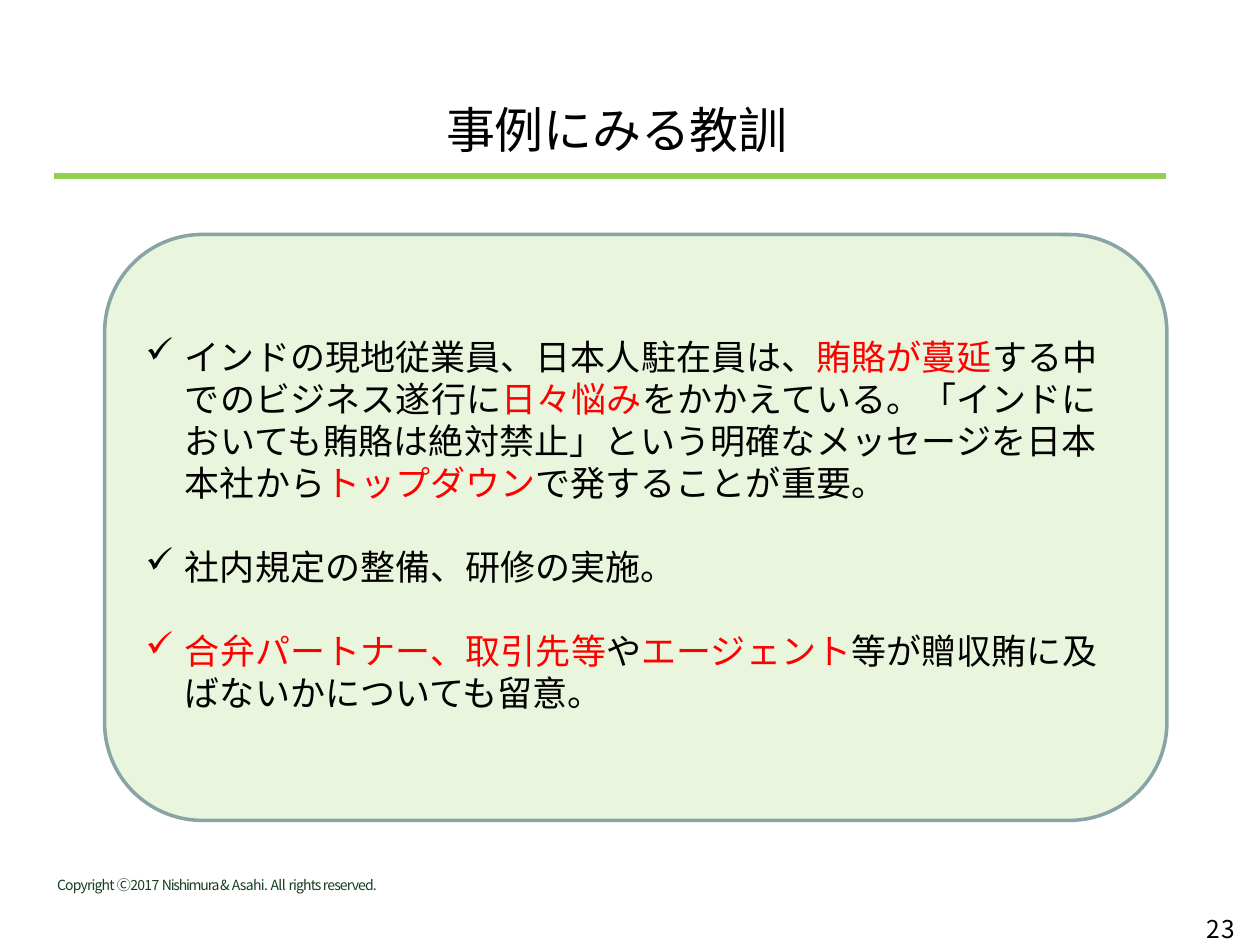
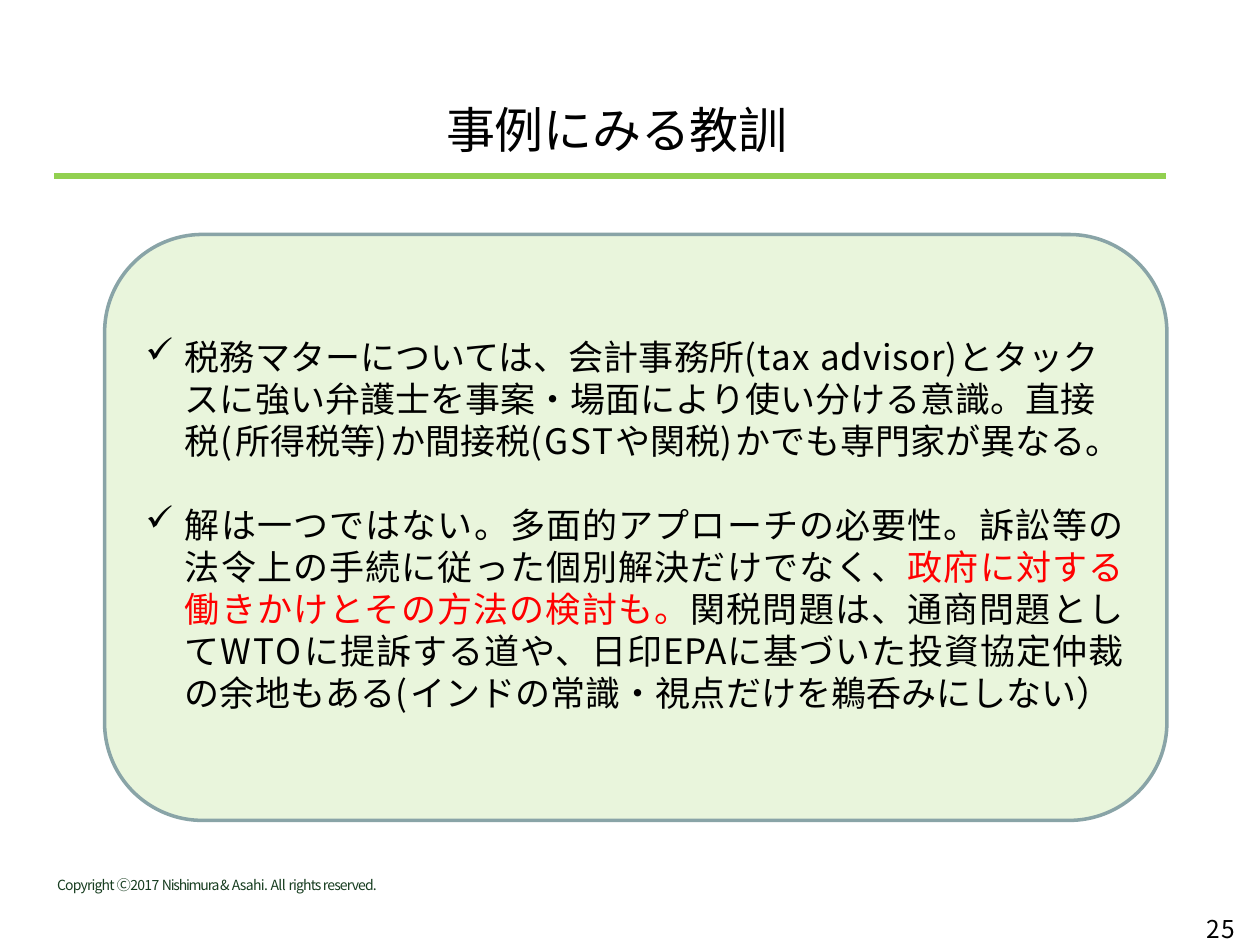
import lxml.etree
import pptx
import pptx.dml.color
import pptx.enum.shapes
import pptx.enum.text
import pptx.oxml.ns
import pptx.util

Pt = pptx.util.Pt
RGBColor = pptx.dml.color.RGBColor
qn = pptx.oxml.ns.qn
JUSTIFY = pptx.enum.text.PP_ALIGN.JUSTIFY
LEFT = pptx.enum.text.PP_ALIGN.LEFT

BLACK = RGBColor(0x00, 0x00, 0x00)
RED = RGBColor(0xFF, 0x00, 0x00)
GREEN = RGBColor(0x92, 0xD0, 0x50)
DARK_GREEN = RGBColor(0x17, 0x3D, 0x20)
GREY_BLUE = RGBColor(0x89, 0xA4, 0xA7)


class LessonDeck:
    """Holds the shared style and the slide being built."""

    font = "Noto Sans CJK JP"
    title = "事例にみる教訓"
    # Each footer part has its own letter spacing
    copyright = [("Copyright ", -0.5), ("Ⓒ2017 ", -0.4), ("Nishimura & ", -0.7),
                 ("Asahi. ", -0.4), ("All ", -0.3), ("rights reserved.", -0.5)]

    def __init__(self):
        self.deck = pptx.Presentation()
        self.deck.slide_width, self.deck.slide_height = Pt(720), Pt(540)
        self.slide = None

    def new_slide(self):
        self.slide = self.deck.slides.add_slide(self.deck.slide_layouts[6])

    def text_box(self, left, top, width, height, inset_left=0, inset_top=0):
        box = self.slide.shapes.add_textbox(Pt(left), Pt(top), Pt(width), Pt(height))
        frame = box.text_frame
        frame.word_wrap = True
        frame.margin_left, frame.margin_top = Pt(inset_left), Pt(inset_top)
        frame.margin_right = frame.margin_bottom = 0
        return frame

    def add_run(self, paragraph, text, size, color=BLACK, spacing=0):
        run = paragraph.add_run()
        run.text = text
        run.font.size = Pt(size)
        run.font.color.rgb = color
        run.font.name = self.font
        properties = run.font._element
        lxml.etree.SubElement(properties, qn("a:ea"), typeface=self.font)
        if spacing:
            properties.set("spc", str(round(spacing * 100)))

    def heading(self):
        frame = self.text_box(254, 54.7, 198, 35.3, inset_left=1, inset_top=2)
        self.add_run(frame.paragraphs[0], self.title, 28, spacing=-0.1)

    def panel(self):
        panel = self.slide.shapes.add_shape(
            pptx.enum.shapes.MSO_SHAPE.ROUNDED_RECTANGLE, Pt(59.8), Pt(134), Pt(607), Pt(334.8))
        panel.shadow.inherit = False
        panel.fill.solid()
        panel.fill.fore_color.rgb = GREEN
        tint = panel._element.spPr.find(qn("a:solidFill")).find(qn("a:srgbClr"))
        lxml.etree.SubElement(tint, qn("a:alpha"), val="20000")
        panel.line.color.rgb = GREY_BLUE
        panel.line.width = Pt(2)

    def lessons(self, width, lessons):
        frame = self.text_box(82, 189.4, width, 218, inset_top=2)
        for number, (alignment, parts) in enumerate(lessons):
            paragraph = frame.add_paragraph() if number else frame.paragraphs[0]
            # Check-mark bullet with a hanging indent
            properties = paragraph._p.get_or_add_pPr()
            properties.set("marL", str(Pt(23.7)))
            properties.set("indent", str(Pt(-22.5)))
            lxml.etree.SubElement(properties, qn("a:buChar"), char="✓")
            paragraph.alignment = alignment
            if number:
                paragraph.space_before = Pt(24)
            for text, *style in parts:
                self.add_run(paragraph, text, 20, *style)

    def rule(self):
        rule = self.slide.shapes.add_connector(
            pptx.enum.shapes.MSO_CONNECTOR.STRAIGHT, Pt(31), Pt(100.8), Pt(666), Pt(100.8))
        rule.line.color.rgb = GREEN
        rule.line.width = Pt(3.5)
        lxml.etree.SubElement(rule._element.spPr, qn("a:effectLst"))

    def footer(self, page):
        paragraph = self.text_box(31.7, 501, 187, 10, inset_left=1).paragraphs[0]
        paragraph.line_spacing = Pt(9.5)
        for text, spacing in self.copyright:
            self.add_run(paragraph, text, 8, DARK_GREEN, spacing)
        frame = self.text_box(687.6, 518.4, 21.6, 23, inset_left=2, inset_top=4)
        self.add_run(frame.paragraphs[0], str(page), 14, spacing=0.9)

    def lesson_slide(self, page, text_width, lessons):
        self.new_slide()
        self.heading()
        self.panel()
        self.lessons(text_width, lessons)
        self.rule()
        self.footer(page)


# Lessons: alignment, then parts as text, colour, letter spacing
BRIBERY_LESSONS = [
    (JUSTIFY, [
        ("インドの現地従業員、日本人駐在員は、",),
        ("賄賂が蔓延", RED),
        ("する中 でのビジネス遂行に",),
        ("日々悩み", RED),
        ("をかかえている。「インドに おいても賄賂は絶対禁止」という明確なメッセージを日本 本社から",),
        ("トップダウン", RED),
        ("で発することが重要。",),
    ]),
    (LEFT, [("社内規定の整備、研修の実施。",)]),
    (JUSTIFY, [
        ("合弁パートナー、取引先等", RED),
        ("や",),
        ("エージェント", RED),
        ("等が贈収賄に及 ばないかについても留意。",),
    ]),
]

TAX_LESSONS = [
    (LEFT, [
        ("税務マターについては、会計事務所",),
        ("(tax ", BLACK, 0.8),
        ("advisor)", BLACK, 0.4),
        ("とタック スに強い弁護士を事案・場面により使い分ける意識。直接 税",),
        ("(", BLACK, 1.9),
        ("所得税等",),
        (")", BLACK, 1.9),
        ("か間接税",),
        ("(GST", BLACK, 1),
        ("や関税",),
        (")", BLACK, 1.9),
        ("かでも専門家が異なる。",),
    ]),
    (JUSTIFY, [
        ("解は一つではない。多面的アプローチの必要性。訴訟等の 法令上の手続に従った個別解決だけでなく、",),
        ("政府に対する 働きかけとその方法の検討も。", RED),
        ("関税問題は、通商問題とし て",),
        ("WTO", BLACK, 1),
        ("に提訴する道や、日印",),
        ("EPA", BLACK, 0.2),
        ("に基づいた投資協定仲裁 の余地もある",),
        ("(", BLACK, 1.9),
        ("インドの常識・視点だけを鵜呑みにしない）",),
    ]),
]


def main():
    lesson_deck = LessonDeck()
    lesson_deck.lesson_slide(23, 545, BRIBERY_LESSONS)
    lesson_deck.lesson_slide(25, 560, TAX_LESSONS)
    lesson_deck.deck.save("out.pptx")


if __name__ == "__main__":
    main()
